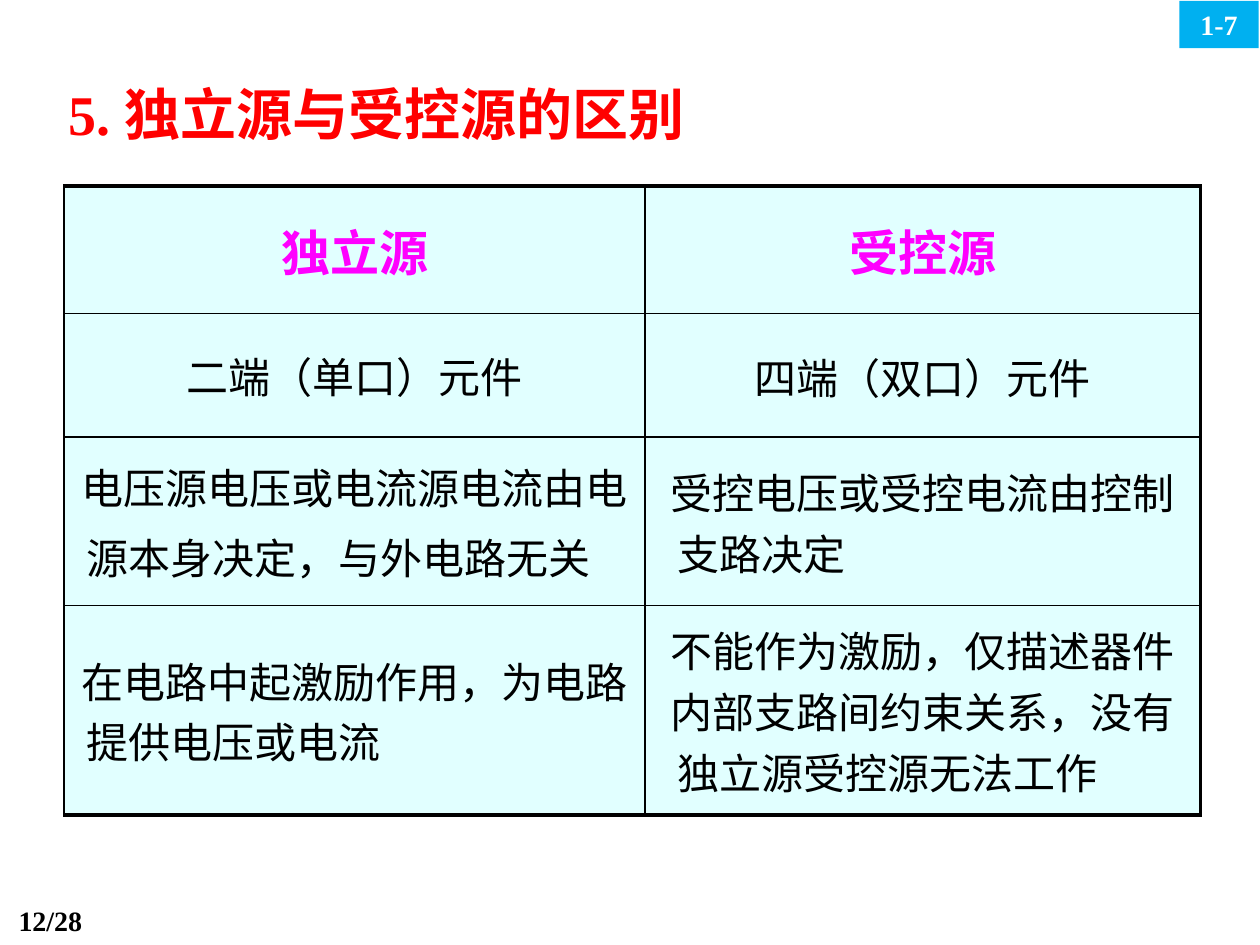
from lxml import etree
from pptx import Presentation
from pptx import util as u
from pptx.dml.color import RGBColor
from pptx.enum import shapes, text
from pptx.oxml import ns

COLORS = {"ink": "000000", "title": "FF0000", "heading": "FF00FF",
          "cell": "E1FFFF", "tag": "00B0F0", "tag_text": "FFFFFF"}
FONT = "Times New Roman"
WIDTH, HEIGHT = 10, 7.5
COLUMNS = [4.61, 4.41]
ROWS = [1.01, 0.98, 1.34, 1.66]
THIN, THICK = 1, 2.25
CENTER, LEFT, RIGHT = text.PP_ALIGN.CENTER, text.PP_ALIGN.LEFT, text.PP_ALIGN.RIGHT
SPACED = {"space_before": u.Pt(4.8)}
HEADING = {"space_before": u.Pt(5.6)}

# Each cell: centred first paragraph, optional left closing line, paragraph format
CELLS = [
    [("独立源", None, HEADING), ("受控源", None, HEADING)],
    [("二端（单口）元件", None, SPACED),
     ("四端（双口）元件", None, {"line_spacing": 1.05})],
    [("电压源电压或电流源电流由电", "源本身决定，与外电路无关", SPACED),
     ("受控电压或受控电流由控制", "支路决定", {})],
    [("在电路中起激励作用，为电路", "提供电压或电流", {}),
     ("不能作为激励，仅描述器件内部支路间约束关系，没有",
      "独立源受控源无法工作", {})],
]
CLOSING_INDENT = [0.08, 0.16]


def color(name):
    return RGBColor.from_string(COLORS[name])


def apply(target, values):
    for name, value in values.items():
        setattr(target, name, value)


def write(para, wording, size, ink="ink", bold=True, **layout):
    span = para.add_run()
    span.text = wording
    apply(span.font, {"name": FONT, "size": u.Pt(size), "bold": bold})
    span.font.color.rgb = color(ink)
    apply(para, layout)


def place(shape, left, top, width, height):
    """Position a shape by shares of the slide's size."""
    apply(shape, {"left": u.Inches(left * WIDTH), "top": u.Inches(top * HEIGHT),
                  "width": u.Inches(width * WIDTH),
                  "height": u.Inches(height * HEIGHT)})


def add_title(page):
    title = page.shapes.title
    place(title, 0.044, 0.077, 0.616, 0.085)
    apply(title.text_frame, {"auto_size": text.MSO_AUTO_SIZE.NONE,
                             "vertical_anchor": text.MSO_ANCHOR.MIDDLE})
    write(title.text_frame.paragraphs[0], "5. 独立源与受控源的区别", 32, "title",
          alignment=LEFT)


def add_page_number(page):
    box = page.shapes.add_textbox(0, 0, 0, 0)
    place(box, 0, 0.95, 0.075, 0.05)
    box.text_frame.word_wrap = False
    write(box.text_frame.paragraphs[0], "12/28", 16, alignment=RIGHT)


def add_section_tag(page):
    tag = page.shapes.add_shape(shapes.MSO_SHAPE.RECTANGLE, 0, 0, 0, 0)
    place(tag, 0.936, 0.001, 0.063, 0.05)
    tag.shadow.inherit = False
    tag.fill.solid()
    tag.fill.fore_color.rgb = color("tag")
    tag.line.fill.background()
    write(tag.text_frame.paragraphs[0], "1-7", 16, "tag_text", alignment=CENTER)


def set_borders(cell, widths):
    props = cell._tc.get_or_add_tcPr()
    for side, width in widths.items():
        line = etree.SubElement(props, ns.qn(f"a:ln{side}"), w=str(u.Pt(width)))
        fill = etree.SubElement(line, ns.qn("a:solidFill"))
        etree.SubElement(fill, ns.qn("a:srgbClr"), val=COLORS["ink"])


def fill_cell(cell, row, column):
    opening, closing, layout = CELLS[row][column]
    set_borders(cell, {
        "L": THIN,
        "R": THICK if column == len(COLUMNS) - 1 else THIN,
        "T": THICK if row == 0 else THIN,
        "B": THICK if row == len(ROWS) - 1 else THIN,
    })
    cell.fill.solid()
    cell.fill.fore_color.rgb = color("cell")
    cell.vertical_anchor = text.MSO_ANCHOR.MIDDLE
    style = (28, "heading", True) if row == 0 else (24, "ink", False)
    frame = cell.text_frame
    write(frame.paragraphs[0], opening, *style, alignment=CENTER, **layout)
    if closing:
        para = frame.add_paragraph()
        write(para, closing, *style, alignment=LEFT, **layout)
        para._p.get_or_add_pPr().set("marL", str(u.Inches(CLOSING_INDENT[column])))


def add_comparison(page):
    frame = page.shapes.add_table(len(ROWS), len(COLUMNS), 0, 0, 0, 0)
    place(frame, 0.051, 0.197, sum(COLUMNS) / WIDTH, sum(ROWS) / HEIGHT)
    table = frame.table
    for column, width in zip(table.columns, COLUMNS):
        column.width = u.Inches(width)
    for row, height in enumerate(ROWS):
        table.rows[row].height = u.Inches(height)
        for column in range(len(COLUMNS)):
            fill_cell(table.cell(row, column), row, column)


def main():
    deck = Presentation()
    apply(deck, {"slide_width": u.Inches(WIDTH), "slide_height": u.Inches(HEIGHT)})
    page = deck.slides.add_slide(deck.slide_layouts.get_by_name("Title Only"))
    add_page_number(page)
    add_title(page)
    add_comparison(page)
    add_section_tag(page)
    deck.save("out.pptx")


if __name__ == "__main__":
    main()
